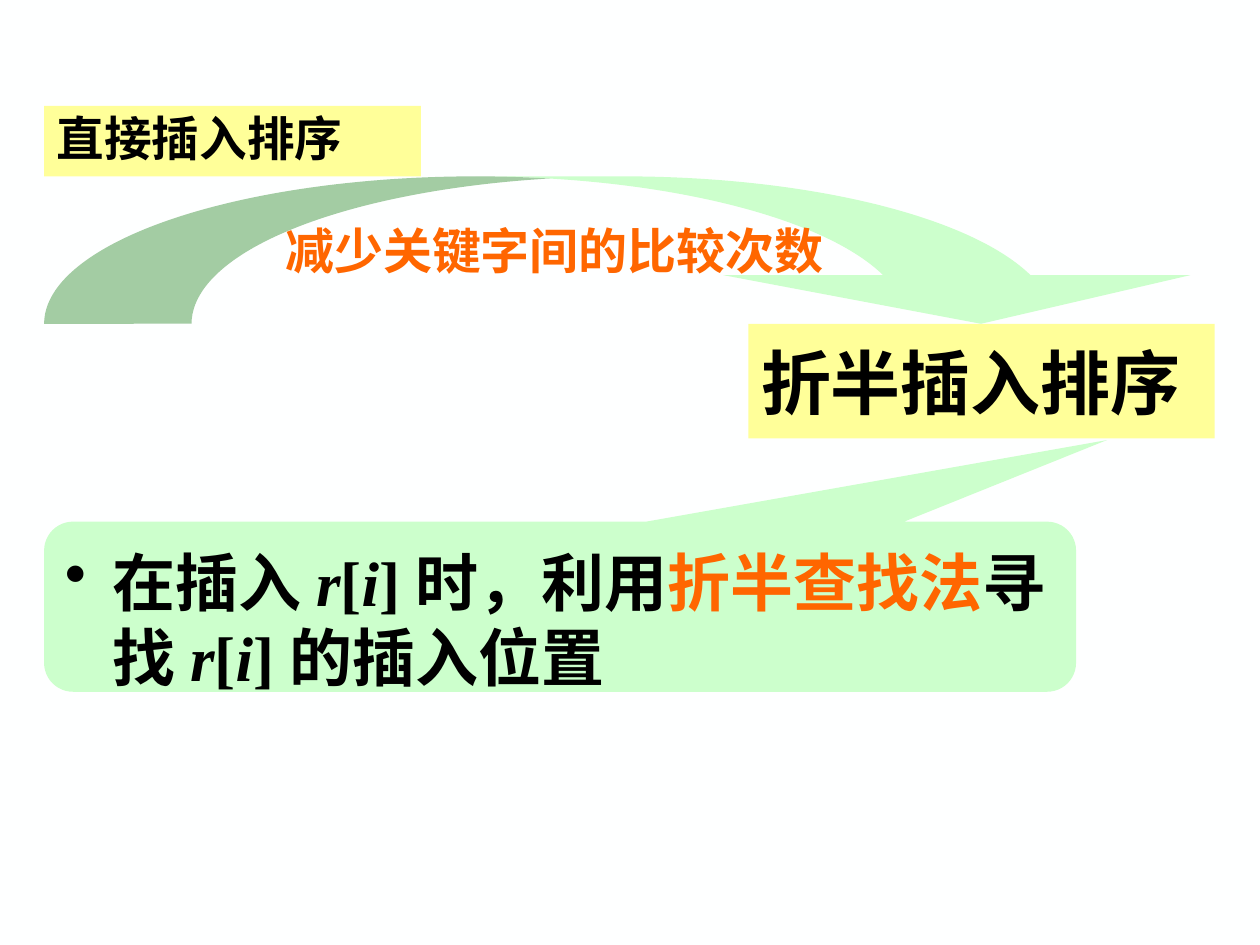
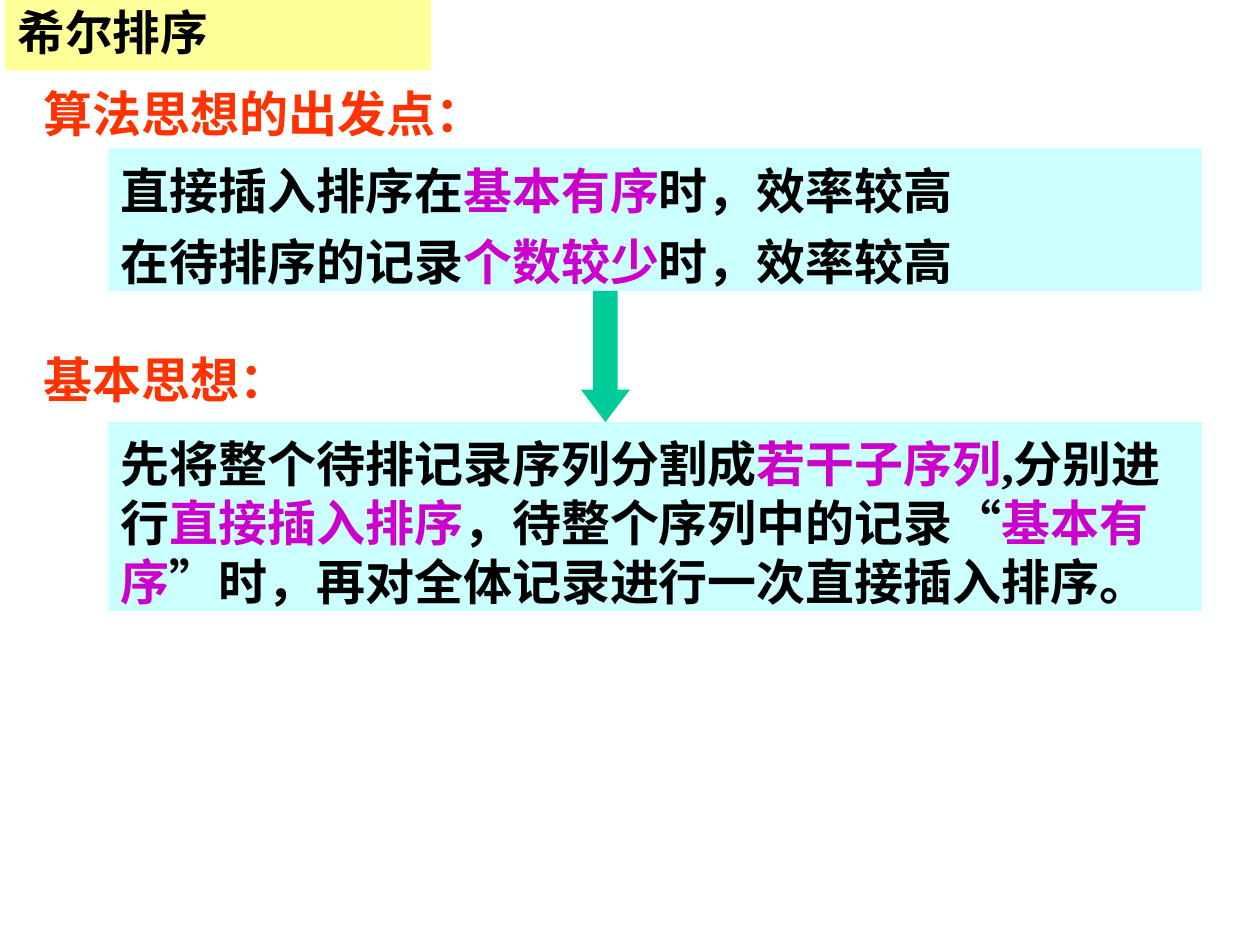
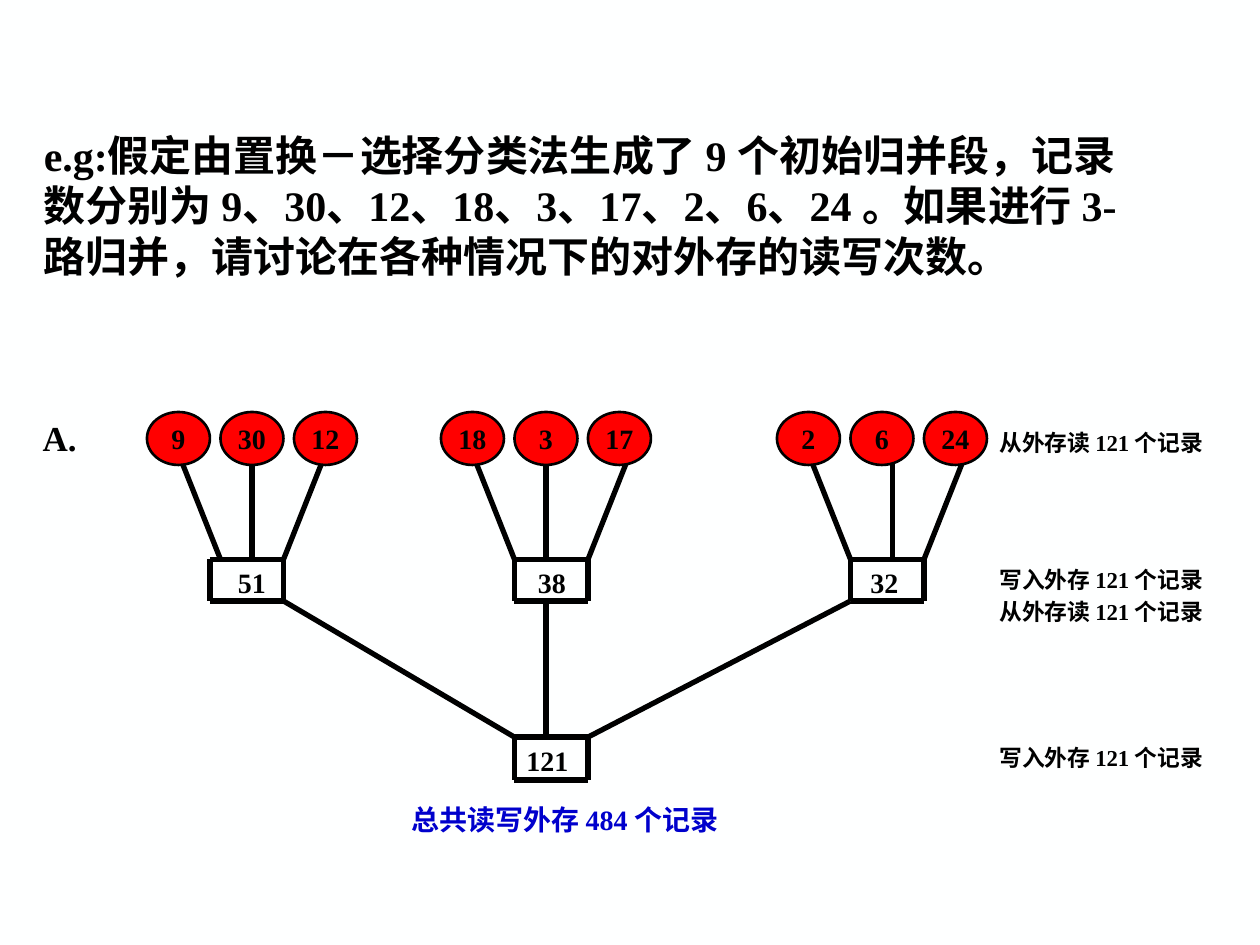
from dataclasses import dataclass

from lxml.etree import SubElement
from pptx import Presentation
from pptx.dml.color import RGBColor
from pptx.enum.shapes import MSO_CONNECTOR, MSO_SHAPE
from pptx.enum.text import MSO_ANCHOR, MSO_AUTO_SIZE, PP_ALIGN
from pptx.oxml.ns import qn
from pptx.util import Inches, Pt


@dataclass(frozen=True)
class Theme:
    page: str = "FEFFFF"
    ink: str = "000000"
    banner: str = "FFFF99"
    mint: str = "CCFFCC"
    sky: str = "CCFFFF"
    green: str = "00CC99"
    red: str = "FF0000"
    heading: str = "FF3300"
    orange: str = "FF6600"
    purple: str = "CC00CC"
    blue: str = "0000CC"
    serif: str = "Times New Roman"
    sans: str = "Noto Sans CJK SC"
    hero: float = 40
    callout: float = 36
    body: float = 28
    banner_size: float = 27.2
    question: float = 24
    option: float = 20
    node: float = 16
    note: float = 13


theme = Theme()


def write_text(shape, paragraphs, size, color=theme.ink, font=theme.serif,
               align=PP_ALIGN.LEFT, wrap=True, multiline=False):
    """Fill a shape; each paragraph is a list of (text, colour, italic) spans or one string.

    Single lines are centred vertically; multiline text starts at the top with a fixed pitch.
    """
    frame = shape.text_frame
    frame.auto_size = MSO_AUTO_SIZE.NONE
    frame.word_wrap = wrap
    frame.vertical_anchor = MSO_ANCHOR.TOP if multiline else MSO_ANCHOR.MIDDLE
    if multiline:
        frame.margin_top = Inches(0.05) + Pt(0.11 * size)
    for index, spans in enumerate(paragraphs):
        para = frame.add_paragraph() if index else frame.paragraphs[0]
        para.alignment = align
        if multiline:
            para.line_spacing = Pt(1.2 * size)
        for text, span_color, italic in [(spans, color, False)] if isinstance(spans, str) else spans:
            span = para.add_run()
            span.text = text
            span.font.name = font
            span.font.size = Pt(size)
            span.font.bold = True
            span.font.italic = italic
            span.font.color.rgb = RGBColor.from_string(span_color)
            SubElement(span.font._element, qn("a:ea"), typeface=theme.sans)


def add_block(page, kind, left, top, width, height, fill, line_width=0):
    """Add a filled preset shape, sized in inches, with an optional black line."""
    block = page.shapes.add_shape(kind, *map(Inches, (left, top, width, height)))
    block.shadow.inherit = False
    block.fill.solid()
    block.fill.fore_color.rgb = RGBColor.from_string(fill)
    if line_width:
        block.line.color.rgb = RGBColor.from_string(theme.ink)
        block.line.width = Pt(line_width)
    else:
        block.line.fill.background()
    return block


deck = Presentation()
deck.slide_width, deck.slide_height = Inches(10), Inches(7.5)
background = deck.slide_master.background.fill
background.solid()
background.fore_color.rgb = RGBColor.from_string(theme.page)
title_only, blank = deck.slide_layouts[5], deck.slide_layouts[6]

# Titled pages share the yellow banner
titled_pages = []
for words, area, size, spacing in [
    ("折半插入排序", (5.94, 2.57, 3.7, 0.91), theme.hero, 1.0),
    ("希尔排序", (0.04, 0, 3.38, 0.56), theme.banner_size, 0.9),
]:
    page = deck.slides.add_slide(title_only)
    title = page.shapes.title
    title.left, title.top, title.width, title.height = map(Inches, area)
    title.fill.solid()
    title.fill.fore_color.rgb = RGBColor.from_string(theme.banner)
    write_text(title, [words], size, font=theme.sans)
    title.text_frame.paragraphs[0].line_spacing = spacing
    titled_pages.append(page)
binary_page, shell_page = titled_pages

# Binary insertion sort: curved arrow from the old method to the new one
old_method = add_block(binary_page, MSO_SHAPE.RECTANGLE, 0.35, 0.84, 2.99, 0.56, theme.banner)
write_text(old_method, ["直接插入排序"], theme.banner_size, font=theme.sans)
old_method.text_frame.paragraphs[0].line_spacing = 0.9

curve = add_block(binary_page, MSO_SHAPE.CURVED_DOWN_ARROW, 0.35, 1.4, 9.29, 1.17, theme.mint)
for index, value in enumerate((1.15, 3.17, 0.33)):
    curve.adjustments[index] = value
benefit = binary_page.shapes.add_textbox(*map(Inches, (0.35, 1.4, 8.1, 1.17)))
write_text(benefit, ["减少关键字间的比较次数"], theme.body, theme.orange, align=PP_ALIGN.CENTER)

callout = add_block(binary_page, MSO_SHAPE.ROUNDED_RECTANGULAR_CALLOUT,
                    0.35, 4.14, 8.19, 1.35, theme.mint)
for index, value in enumerate((0.53, -0.98, 0.17)):
    callout.adjustments[index] = value
record = [("r", theme.ink, True), ("[", theme.ink, False), ("i", theme.ink, True)]
write_text(callout, [[
    ("在插入 ", theme.ink, False), *record, ("] 时，利用", theme.ink, False),
    ("折半查找法", theme.orange, False),
    ("寻找 ", theme.ink, False), *record, ("] 的插入位置", theme.ink, False),
]], theme.callout, multiline=True)
properties = callout.text_frame.paragraphs[0]._p.get_or_add_pPr()
properties.set("marL", str(Inches(0.38)))
properties.set("indent", str(-Inches(0.38)))
SubElement(properties, qn("a:buChar"), char="•")

# Shell sort: two headings, each above a blue panel
for words, top, width in [("算法思想的出发点：", 0.61, 4.36), ("基本思想：", 2.72, 2.62)]:
    heading = shell_page.shapes.add_textbox(*map(Inches, (0.25, top, width, 0.57)))
    write_text(heading, [words], theme.body, theme.heading)

for top, height, paragraphs in [
    (1.18, 1.13, [["直接插入排序在", "基本有序", "时，效率较高"],
                  ["在待排序的记录", "个数较少", "时，效率较高"]]),
    (3.35, 1.5, [["先将整个待排记录序列分割成", "若干子序列", ",分别进行", "直接插入排序",
                  "，待整个序列中的记录“", "基本有序",
                  "”时，再对全体记录进行一次直接插入排序。"]]),
]:
    panel = add_block(shell_page, MSO_SHAPE.RECTANGLE, 0.86, top, 8.68, height, theme.sky)
    # Every second span is a highlighted term
    write_text(panel, [[(text, theme.purple if index % 2 else theme.ink, False)
                        for index, text in enumerate(texts)] for texts in paragraphs],
               theme.body, multiline=True)
    for para in panel.text_frame.paragraphs[1:]:
        para.space_before = Pt(7)

arrow = add_block(shell_page, MSO_SHAPE.DOWN_ARROW, 4.61, 2.31, 0.39, 1.04, theme.green)
arrow.adjustments[1] = 0.66

# Three-way merge tree on columns of a twelfth of an inch
merge_page = deck.slides.add_slide(blank)
column = 1 / 12
run_top, run_center, merge_top, merge_bottom, root_top, root_bottom = 3.27, 3.6, 4.44, 4.77, 5.85, 6.19
groups = [
    (14, ("9", "30", "12"), [(17, 21), (24, 24), (31, 27)]),
    (42, ("18", "3", "17"), [(45, 49), (52, 52), (60, 56)]),
    (74, ("2", "6", "24"), [(77, 81), (85, 85), (92, 88)]),
]
edges = [(start, run_center, end, merge_top) for *_, ends in groups for start, end in ends]
edges += [(start, merge_bottom, end, root_top) for start, end in [(27, 49), (52, 52), (81, 56)]]
for left, top, bottom in [(20, merge_top, merge_bottom), (49, merge_top, merge_bottom),
                          (81, merge_top, merge_bottom), (49, root_top, root_bottom)]:
    right = left + 7
    edges += [(left, top, right, top), (left, bottom, right, bottom),
              (left, top, left, bottom), (right, top, right, bottom)]
for start, start_top, end, end_top in edges:
    edge = merge_page.shapes.add_connector(
        MSO_CONNECTOR.STRAIGHT, Inches(start * column), Inches(start_top),
        Inches(end * column), Inches(end_top))
    edge.line.color.rgb = RGBColor.from_string(theme.ink)
    edge.line.width = Pt(3)
    SubElement(edge._element.spPr, qn("a:effectLst"))

for first, counts, _ in groups:
    for index, count in enumerate(counts):
        run = add_block(merge_page, MSO_SHAPE.OVAL, (first + 7 * index) * column, run_top,
                        6 * column, 0.42, theme.red, 1.5)
        write_text(run, [count], theme.node, align=PP_ALIGN.CENTER, wrap=False)

labels = [
    ("A.", 0.24, 3.25, 0.92, 0.44, theme.option, theme.ink),
    ("总共读写外存 484 个记录", 3.17, 6.32, 2.83, 0.37, theme.node, theme.blue),
]
labels += [(total, left, top, 10 * column, 0.37, theme.node, theme.ink) for total, left, top in [
    ("51", 1.79, merge_top), ("38", 4.17, merge_top),
    ("32", 6.81, merge_top), ("121", 4.08, root_top)]]
labels += [(words, 94 * column, top, 2, 0.32, theme.note, theme.ink) for words, top in [
    ("从外存读 121 个记录", 3.35), ("写入外存 121 个记录", merge_top),
    ("从外存读 121 个记录", 4.69), ("写入外存 121 个记录", root_top)]]
for words, left, top, width, height, size, color in labels:
    box = merge_page.shapes.add_textbox(*map(Inches, (left, top, width, height)))
    write_text(box, [words], size, color)

question = merge_page.shapes.add_textbox(*map(Inches, (0.25, 0.94, 9, 1.7)))
write_text(question, [
    "e.g:假定由置换－选择分类法生成了 9 个初始归并段，记录数分别为 9、30、12、18、3、17、2、6、24 。"
    "如果进行 3-路归并，请讨论在各种情况下的对外存的读写次数。"], theme.question, multiline=True)

deck.save("out.pptx")
